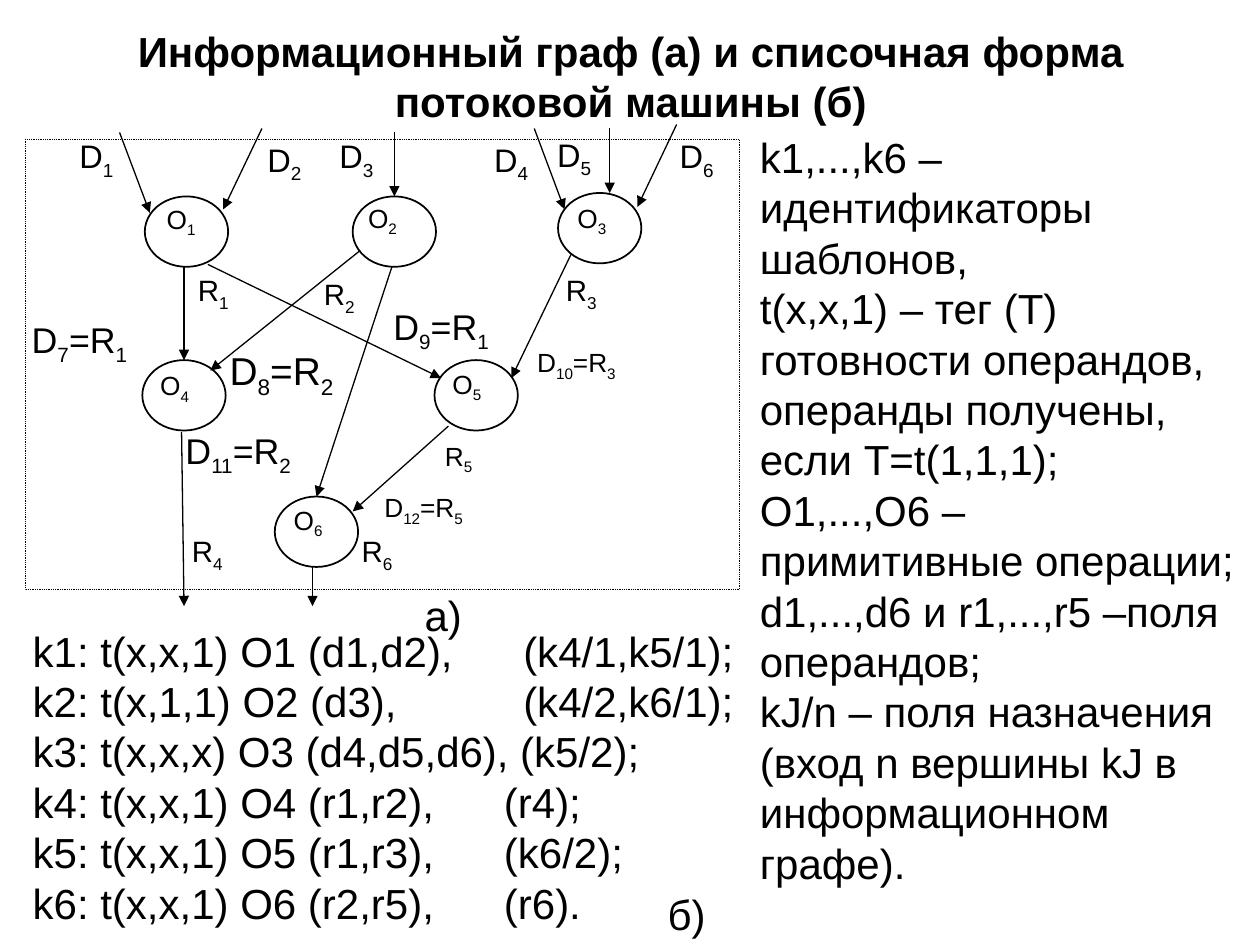
from dataclasses import dataclass

from lxml.etree import SubElement
from pptx import Presentation
from pptx.dml.color import RGBColor
from pptx.enum.dml import MSO_LINE
from pptx.enum.shapes import MSO_CONNECTOR, MSO_SHAPE
from pptx.enum.text import MSO_ANCHOR, PP_ALIGN
from pptx.oxml.ns import qn
from pptx.util import Cm, Pt


@dataclass(frozen=True)
class Theme:
    font: str = "Arial"
    ink: RGBColor = RGBColor(0, 0, 0)
    body: float = 24
    operation: float = 15
    small: float = 15
    result: float = 16.8
    operand: float = 18.6
    transfer: float = 20.4
    large: float = 22.2
    outline: float = 1
    arrow: float = 0.75
    frame: float = 0.5


THEME = Theme()
NODE_WIDTH, NODE_HEIGHT = 1.68, 1.42
SHORT_LABEL, LONG_LABEL = 1.45, 3
TIGHT = (0.03, 0.03)
ROOMY = (0.25, 0.13)

TITLE = "Информационный граф (а) и списочная форма потоковой машины (б)"
LEGEND = [
    "k1,...,k6 – идентификаторы шаблонов,",
    "t(x,x,1) – тег (T) готовности операндов, операнды получены, если T=t(1,1,1); "
    "O1,...,O6 – примитивные операции;",
    "d1,...,d6 и r1,...,r5 –поля операндов;",
    "kJ/n – поля назначения (вход n вершины kJ в информационном графе).",
]
COMMANDS = [
    ("k1: t(x,x,1) O1 (d1,d2),\t(k4/1,k5/1);", 9.89),
    ("k2: t(x,1,1) O2 (d3),\t(k4/2,k6/1);", 9.89),
    ("k3: t(x,x,x) O3 (d4,d5,d6), (k5/2);", None),
    ("k4: t(x,x,1) O4 (r1,r2),\t(r4);", 9.5),
    ("k5: t(x,x,1) O5 (r1,r3),\t(k6/2);", 9.5),
    ("k6: t(x,x,1) O6 (r2,r5),\t(r6).", 9.5),
]
NODES = {
    "1": ((2.92, 3.96), (3.33, 4.06)),
    "2": ((7.11, 3.96), (7.39, 4.04)),
    "3": ((11.25, 3.89), (11.61, 4.04)),
    "4": ((2.87, 7.26), (3.2, 7.42)),
    "5": ((8.76, 7.26), (9.09, 7.39)),
    "6": ((5.54, 10.01), (5.89, 10.13)),
}
ARROWS = [
    ((2.41, 2.67), (3.02, 4.29), None),
    ((5.28, 2.59), (4.5, 4.22), None),
    ((7.95, 2.67), (7.95, 3.96), "2"),
    ((10.77, 2.59), (11.38, 4.22), None),
    ((12.29, 2.59), (12.29, 3.89), None),
    ((13.64, 2.51), (12.85, 4.17), None),
    ((3.71, 5.38), (3.71, 7.26), "4"),
    ((4.19, 5.33), (8.89, 7.62), None),
    ((7.26, 5.05), (4.24, 7.47), None),
    ((7.9, 5.38), (6.3, 10.03), "6"),
    ((11.51, 5.13), (10.31, 7.62), None),
    ((9.04, 8.59), (7.11, 10.31), None),
    ((3.66, 8.71), (3.71, 12.22), None),
    ((6.3, 11.43), (6.3, 12.22), None),
]
LABELS = [
    (("D", "1"), (1.57, 2.72), THEME.operand),
    (("D", "2"), (5.36, 2.79), THEME.operand),
    (("D", "3"), (6.81, 2.72), THEME.operand),
    (("D", "4"), (9.93, 2.79), THEME.operand),
    (("D", "5"), (11.2, 2.69), THEME.operand),
    (("D", "6"), (13.67, 2.72), THEME.operand),
    (("R", "1"), (3.96, 5.46), THEME.result),
    (("R", "2"), (6.5, 5.54), THEME.result),
    (("R", "3"), (11.38, 5.46), THEME.result),
    (("R", "4"), (3.84, 10.72), THEME.result),
    (("R", "5"), (8.94, 8.84), THEME.small),
    (("R", "6"), (7.26, 10.72), THEME.result),
    (("D", "7", "=R", "1"), (0.61, 6.38), THEME.transfer),
    (("D", "8", "=R", "2"), (4.6, 6.96), THEME.large),
    (("D", "9", "=R", "1"), (7.9, 6.12), THEME.transfer),
    (("D", "10", "=R", "3"), (10.8, 6.96), THEME.small),
    (("D", "11", "=R", "2"), (3.71, 8.61), THEME.transfer),
    (("D", "12", "=R", "5"), (7.72, 9.88), THEME.small),
]


def style_span(span, size, bold=False):
    span.font.name = THEME.font
    span.font.size = Pt(size)
    span.font.bold = bold
    span.font.color.rgb = THEME.ink


def add_box(page, position, size, insets):
    box = page.shapes.add_textbox(*map(Cm, position + size))
    frame = box.text_frame
    frame.word_wrap = True
    frame.margin_left = frame.margin_right = Cm(insets[0])
    frame.margin_top = frame.margin_bottom = Cm(insets[1])
    return box


def add_text(page, lines, position, size, insets=ROOMY, bold=False):
    box = add_box(page, position, size, insets)
    box.text_frame.text = "\n".join(lines)
    for para in box.text_frame.paragraphs:
        for span in para.runs:
            style_span(span, THEME.body, bold)
    return box


def add_title(page):
    box = add_text(page, [TITLE], (0.51, 0.33), (24.41, 2.39), bold=True)
    box.text_frame.vertical_anchor = MSO_ANCHOR.MIDDLE
    box.text_frame.paragraphs[0].alignment = PP_ALIGN.CENTER


def add_commands(page):
    lines = [line for line, stop in COMMANDS]
    box = add_text(page, lines, (0.41, 12.47), (15.19, 6.35))
    for para, (line, stop) in zip(box.text_frame.paragraphs, COMMANDS):
        if stop:
            tabs = SubElement(para._p.get_or_add_pPr(), qn("a:tabLst"))
            SubElement(tabs, qn("a:tab"), pos=str(Cm(stop)), algn="l")


def add_label(page, parts, position, size):
    width = SHORT_LABEL if len(parts) == 2 else LONG_LABEL
    box = add_box(page, position, (width, size * 0.056), TIGHT)
    para = box.text_frame.paragraphs[0]
    for index, part in enumerate(parts):
        span = para.add_run()
        span.text = part
        style_span(span, size)
        if index % 2:
            span._r.get_or_add_rPr().set("baseline", "-25000")


def add_outline(page, kind, position, size, weight):
    shape = page.shapes.add_shape(kind, *map(Cm, position + size))
    shape.shadow.inherit = False
    shape.fill.background()
    shape.line.color.rgb = THEME.ink
    shape.line.width = Pt(weight)
    return shape


def add_arrow(page, start, end, target=None):
    arrow = page.shapes.add_connector(MSO_CONNECTOR.STRAIGHT, *map(Cm, start + end))
    if target is not None:
        arrow.end_connect(target, 0)
    arrow.line.color.rgb = THEME.ink
    arrow.line.width = Pt(THEME.arrow)
    SubElement(arrow.line._get_or_add_ln(), qn("a:tailEnd"), type="triangle")
    SubElement(arrow._element.spPr, qn("a:effectLst"))


def add_graph(page):
    frame = add_outline(page, MSO_SHAPE.RECTANGLE, (0.51, 2.82), (14.4, 9.07), THEME.frame)
    frame.line.dash_style = MSO_LINE.ROUND_DOT
    nodes = {}
    for number, (position, label_position) in NODES.items():
        nodes[number] = add_outline(
            page, MSO_SHAPE.OVAL, position, (NODE_WIDTH, NODE_HEIGHT), THEME.outline
        )
        add_label(page, ("O", number), label_position, THEME.operation)
    for start, end, target in ARROWS:
        add_arrow(page, start, end, nodes.get(target))
    for parts, position, size in LABELS:
        add_label(page, parts, position, size)


def main():
    deck = Presentation()
    deck.slide_width, deck.slide_height = Cm(25.4), Cm(19.05)
    page = deck.slides.add_slide(deck.slide_layouts[6])
    add_title(page)
    add_text(page, LEGEND, (15.29, 2.62), (9.7, 15.6), TIGHT)
    add_commands(page)
    add_text(page, ["б)"], (13.21, 17.78), (1.6, 1.27))
    add_text(page, ["а)"], (8.31, 11.76), (2.06, 1.27))
    add_graph(page)
    deck.save("out.pptx")


if __name__ == "__main__":
    main()
